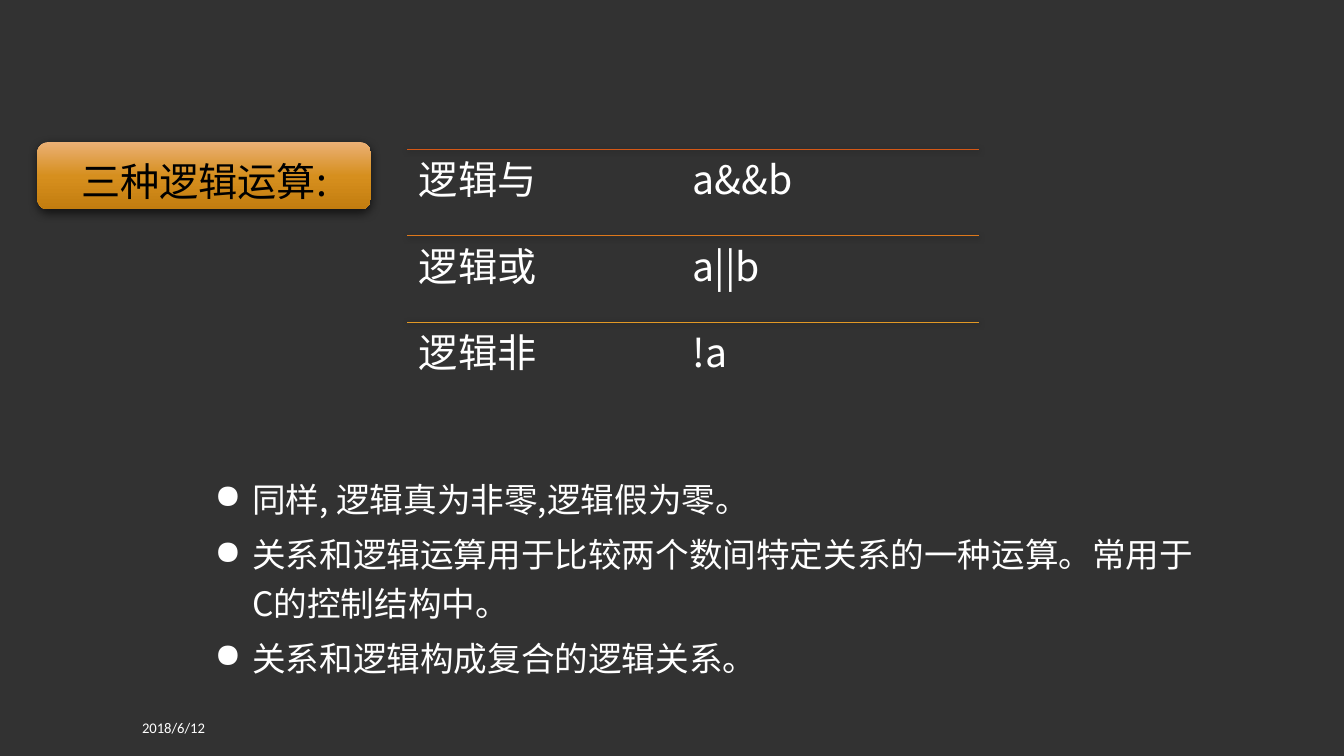
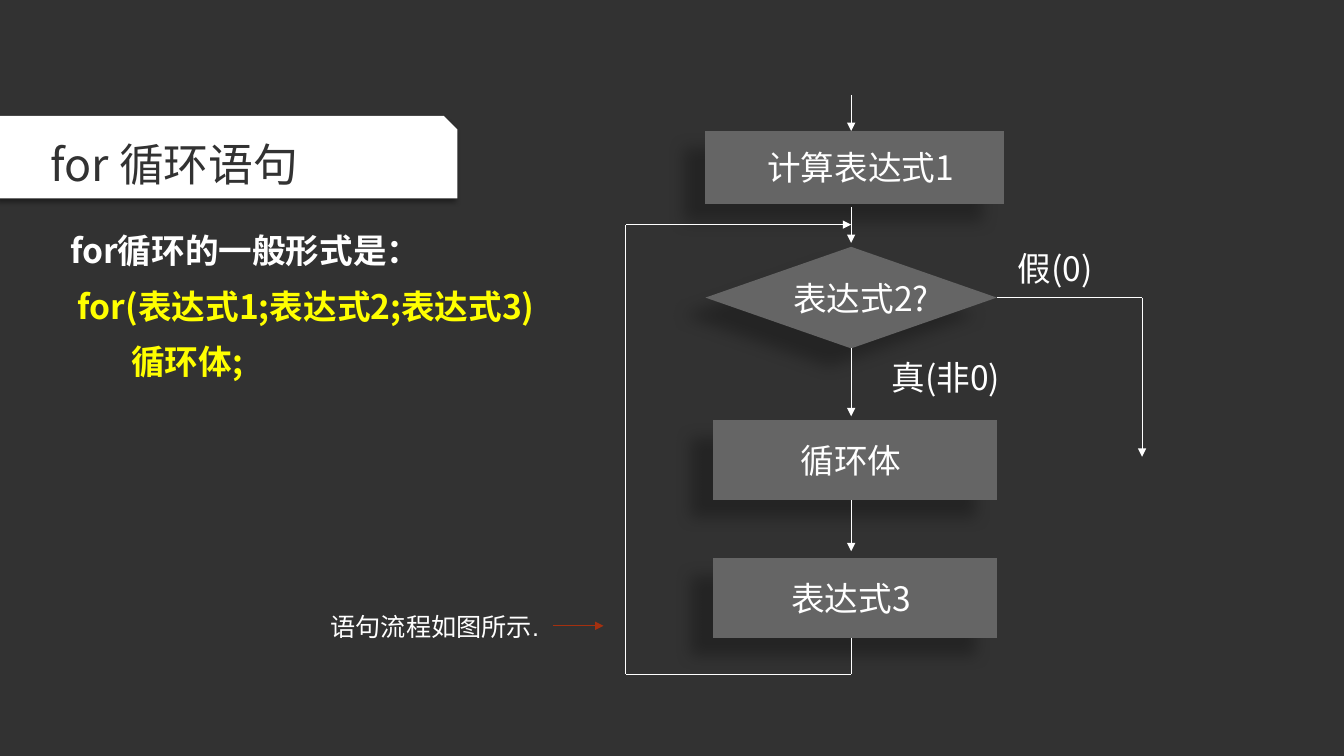
import dataclasses

import lxml.etree
import pptx
import pptx.dml.color
import pptx.enum.shapes
import pptx.enum.text
import pptx.oxml.ns
import pptx.util

Cm, Pt = pptx.util.Cm, pptx.util.Pt
SHAPE = pptx.enum.shapes.MSO_SHAPE
ALIGN = pptx.enum.text.PP_ALIGN
ANCHOR = pptx.enum.text.MSO_ANCHOR
qn = pptx.oxml.ns.qn


@dataclasses.dataclass(frozen=True)
class Shadow:
    alpha: int
    blur: float
    distance: float
    angle: int


@dataclasses.dataclass(frozen=True)
class Theme:
    background: str = "323232"
    white: str = "FFFFFF"
    black: str = "000000"
    code: str = "FFFF00"
    node: str = "656565"
    pointer: str = "A5300F"
    rules: tuple = ("D55816", "DE781B", "E19825")
    button: tuple = ((0, "EBB075"), (50, "D68F1E"), (100, "C37D0F"))
    font: str = "Noto Sans CJK SC"
    date_font: str = "Calibri"
    caption_font: str = "Arial"
    title_size: float = 32
    heading_size: float = 28
    body_size: float = 24
    caption_size: float = 18
    date_size: float = 10.5
    line_width: float = 0.75
    button_shadow: Shadow = Shadow(63, 7, 2.2, 90)
    rule_shadow: Shadow = Shadow(68, 4, 1.2, 90)
    node_shadow: Shadow = Shadow(28, 11.8, 19.7, 141)
    title_shadow: Shadow = Shadow(40, 4, 3, 135)


THEME = Theme()


# Shared helpers
def rgb(color):
    return pptx.dml.color.RGBColor.from_string(color)


def add_element(parent, tag, **attributes):
    element = lxml.etree.SubElement(parent, qn(tag))
    for name, value in attributes.items():
        element.set(name, str(value))
    return element


def cast_shadow(effects, shadow):
    outer = add_element(effects, "a:outerShdw", blurRad=Pt(shadow.blur),
                        dist=Pt(shadow.distance), dir=shadow.angle * 60000,
                        algn="ctr", rotWithShape=0)
    color = add_element(outer, "a:srgbClr", val=THEME.black)
    add_element(color, "a:alpha", val=shadow.alpha * 1000)


def style_spans(para, size, color, font=THEME.font, bold=False):
    for span in para.runs:
        span.font.size = Pt(size)
        span.font.bold = bold
        span.font.color.rgb = rgb(color)
        span.font.name = font
        latin = span.font._element.find(qn("a:latin"))
        east_asian = latin.makeelement(qn("a:ea"), {"typeface": font})
        latin.addnext(east_asian)


def set_margins(frame, left=0.25, top=0.13, right=0.25, bottom=0.13):
    frame.margin_left, frame.margin_top = Cm(left), Cm(top)
    frame.margin_right, frame.margin_bottom = Cm(right), Cm(bottom)


def add_text(page, place, text, size=THEME.body_size, color=THEME.white,
             font=THEME.font, align=ALIGN.LEFT):
    box = page.shapes.add_textbox(*map(Cm, place))
    frame = box.text_frame
    frame.word_wrap = True
    set_margins(frame)
    frame.text = text
    for para in frame.paragraphs:
        para.alignment = align
        style_spans(para, size, color, font)
    return frame


def add_panel(page, kind, place, fill, shadow, text, size, color):
    """Draw a filled shape with a shadow and one line of text."""
    panel = page.shapes.add_shape(kind, *map(Cm, place))
    if isinstance(fill, str):
        panel.fill.solid()
        panel.fill.fore_color.rgb = rgb(fill)
    else:
        panel.fill.gradient()
        panel.fill.gradient_angle = 270
        stops = panel._element.spPr.find(".//" + qn("a:gsLst"))
        stops.clear()
        for position, stop_color in fill:
            stop = add_element(stops, "a:gs", pos=position * 1000)
            add_element(stop, "a:srgbClr", val=stop_color)
    panel.line.fill.background()
    panel.shadow.inherit = False
    cast_shadow(panel._element.spPr.find(qn("a:effectLst")), shadow)
    frame = panel.text_frame
    frame.vertical_anchor = ANCHOR.MIDDLE
    frame.text = text
    para = frame.paragraphs[0]
    para.alignment = ALIGN.CENTER
    style_spans(para, size, color)
    return panel


def add_line(page, start, end, color=THEME.white, arrow=False, shadow=None):
    line = page.shapes.add_connector(
        pptx.enum.shapes.MSO_CONNECTOR.STRAIGHT, *map(Cm, (*start, *end)))
    line.line.color.rgb = rgb(color)
    line.line.width = Pt(THEME.line_width)
    if arrow:
        add_element(line.line._ln, "a:tailEnd", type="triangle")
    effects = add_element(line._element.spPr, "a:effectLst")
    if shadow:
        cast_shadow(effects, shadow)
    return line


def add_bullets(page, place, items):
    frame = add_text(page, place, "\n".join(items))
    for index, para in enumerate(frame.paragraphs):
        properties = para._p.get_or_add_pPr()
        properties.set("marL", str(Cm(0.95)))
        properties.set("indent", str(-Cm(0.95)))
        add_element(properties, "a:buChar", char="●")
        para.line_spacing = 1.2
        if index:
            para.space_before = Pt(5)


def add_operator_row(page, top, color, name, example):
    left, width, height = 10.26, 14.42, 2.18
    add_line(page, (left, top), (left + width, top), color,
             shadow=THEME.rule_shadow)
    frame = add_text(page, (left, top, width, height), f"{name}\t{example}",
                     THEME.heading_size)
    set_margins(frame, 0.3, 0.3, 0.3, 0.3)
    para = frame.paragraphs[0]
    tabs = add_element(para._p.get_or_add_pPr(), "a:tabLst")
    add_element(tabs, "a:tab", pos=Cm(6.9), algn="l")
    para.line_spacing = 0.9


def add_node(page, kind, place, text, shift):
    """Draw a flowchart step; shift moves its text sideways."""
    node = add_panel(page, kind, place, THEME.node, THEME.node_shadow, text,
                     THEME.body_size, THEME.white)
    node.text_frame.word_wrap = False
    set_margins(node.text_frame, max(2 * shift, 0), 0, max(-2 * shift, 0), 0)
    return node


# Slides
def build_logic_slide(page):
    button = add_panel(page, SHAPE.ROUNDED_RECTANGLE, (0.94, 3.58, 8.41, 1.7),
                       THEME.button, THEME.button_shadow, "三种逻辑运算:",
                       THEME.heading_size, THEME.black)
    button.text_frame.paragraphs[0].line_spacing = 1.2

    operators = (("逻辑与", "a&&b"), ("逻辑或", "a||b"), ("逻辑非", "!a"))
    for index, (name, example) in enumerate(operators):
        add_operator_row(page, 3.76 + 2.18 * index, THEME.rules[index],
                         name, example)

    add_bullets(page, (5.16, 11.73, 25.55, 5.59), (
        "同样, 逻辑真为非零,逻辑假为零。",
        "关系和逻辑运算用于比较两个数间特定关系的一种运算。常用于C的控制结构中。",
        "关系和逻辑构成复合的逻辑关系。",
    ))
    date = add_text(page, (3.33, 17.83, 8.33, 1.02), "2018/6/12",
                    THEME.date_size, font=THEME.date_font)
    date.vertical_anchor = ANCHOR.MIDDLE


def build_flowchart(page):
    axis, loop_left, exit_right = 21.45, 15.77, 28.78
    loop_top, loop_bottom, decision_middle = 5.66, 16.99, 7.5

    # Steps
    add_node(page, SHAPE.FLOWCHART_PROCESS, (17.78, 3.3, 7.52, 1.83),
             "计算表达式1", 0.15)
    decision = add_node(page, SHAPE.FLOWCHART_DECISION,
                        (17.78, 6.22, 7.34, 2.56), "表达式2?", 0.25)
    for top, text in ((10.59, "循环体"), (14.07, "表达式3")):
        add_node(page, SHAPE.FLOWCHART_PROCESS, (17.96, top, 7.16, 2.01),
                 text, -0.09)

    # Downward arrows
    for start, end in ((2.39, 3.3), (5.21, 6.12), (12.6, 13.89)):
        add_line(page, (axis, start), (axis, end), arrow=True)
    when_true = add_line(page, (axis, 8.78), (axis, 10.49), arrow=True)
    when_true.begin_connect(decision, 2)

    # Way back to the decision
    corners = ((axis, 16.08), (axis, loop_bottom), (loop_left, loop_bottom),
               (loop_left, loop_top), (axis, loop_top))
    for start, end in zip(corners, corners[1:]):
        add_line(page, start, end, arrow=end == corners[-1])

    # Way out of the loop
    when_false = add_line(page, (25.12, decision_middle),
                          (exit_right, decision_middle))
    when_false.begin_connect(decision, 3)
    add_line(page, (exit_right, decision_middle), (exit_right, 11.51),
             arrow=True)

    # Branch labels
    add_text(page, (21.82, 8.86, 4.04, 1.32), "真(非0)", align=ALIGN.CENTER)
    add_text(page, (25.12, 6.12, 2.95, 1.32), "假(0)", align=ALIGN.CENTER)


def build_loop_slide(page):
    build_flowchart(page)

    # General form
    frame = add_text(page, (1.52, 5.66, 12.73, 5.89),
                     "for循环的一般形式是：\n"
                     " for(表达式1;表达式2;表达式3)\n"
                     "        循环体;")
    for index, para in enumerate(frame.paragraphs):
        color = THEME.code if index else THEME.white
        for span in para.runs:
            span.font.bold = True
            span.font.color.rgb = rgb(color)
        if index:
            para.space_before = Pt(11)

    # Title flag
    title = add_panel(page, SHAPE.SNIP_1_RECTANGLE, (0, 2.92, 11.53, 2.08),
                      THEME.white, THEME.title_shadow, "for 循环语句",
                      THEME.title_size, THEME.background)
    set_margins(title.text_frame, left=1.27)
    para = title.text_frame.paragraphs[0]
    para.alignment = ALIGN.LEFT
    para.line_spacing = 1.1

    # Pointer to the flowchart
    caption = add_text(page, (8.08, 15.27, 5.87, 1.02), "语句流程如图所示.",
                       THEME.caption_size, font=THEME.caption_font)
    caption.word_wrap = False
    add_line(page, (13.94, 15.77), (15.21, 15.77), THEME.pointer, arrow=True)


def main():
    deck = pptx.Presentation()
    deck.slide_width, deck.slide_height = Cm(33.87), Cm(19.05)
    backdrop = deck.slide_master.background.fill
    backdrop.solid()
    backdrop.fore_color.rgb = rgb(THEME.background)
    for build in (build_logic_slide, build_loop_slide):
        build(deck.slides.add_slide(deck.slide_layouts[6]))
    deck.save("out.pptx")


if __name__ == "__main__":
    main()
